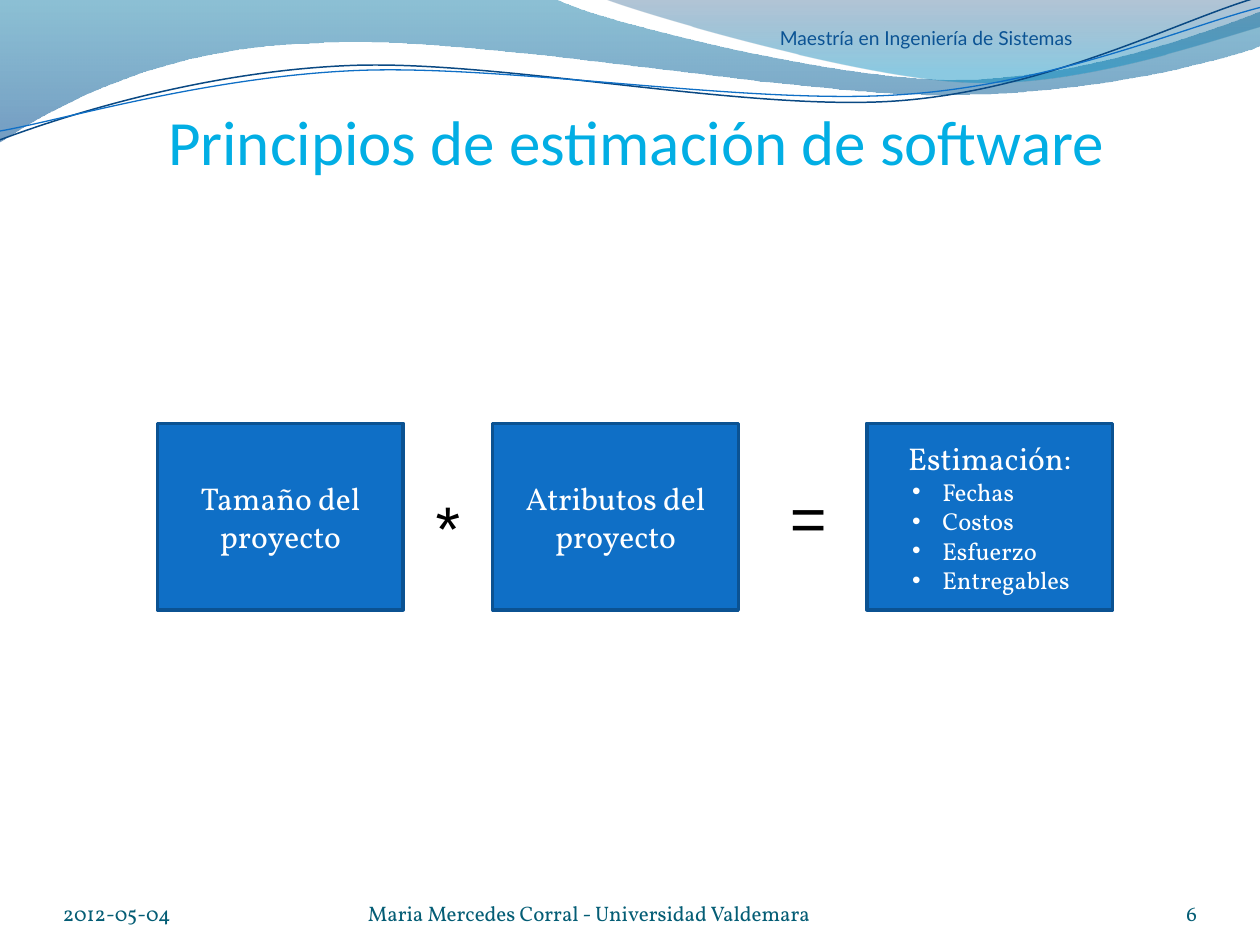
import math
import pptx
import pptx.util
import pptx.dml.color
import pptx.enum.shapes
import pptx.enum.text
import pptx.oxml.ns
from lxml import etree

Inches, Pt = pptx.util.Inches, pptx.util.Pt
Align, Anchor = pptx.enum.text.PP_ALIGN, pptx.enum.text.MSO_ANCHOR
qn = pptx.oxml.ns.qn

COLORS = {"title": "02AEE4", "footer": "045D75", "header": "0B5394", "fill": "0F6FC6",
          "edge": "0B5292", "dark": "0A4983", "white": "FFFFFF", "black": "000000",
          "teal": "0074A1", "navy": "004C90", "indigo": "003E76", "aqua": "008BBF"}

# Content: each wave is a start point, then lines (2 numbers) or curves (6 numbers)
TILT = -2.7
WAVES = [
    {"start": (0, 0), "steps": [
        (4.4, -0.01), (4.76, 0.17, 6.64, 0.63, 7.58, 0.63), (8.53, 0.63, 9.58, 0.26, 10, 0.09),
        (10.01, 0.36), (9.83, 0.44, 8.7, 0.76, 7.46, 0.75), (6.22, 0.75, 3.82, 0.28, 2.57, 0.34),
        (1.29, 0.36, 0.46, 0.83, -0.01, 1.13), (0, 0)],
     "stops": [("teal", 0, 45), ("navy", 1, 55)]},
    {"start": (4.79, -0.01), "steps": [
        (5.09, 0.11, 6.82, 0.62, 7.69, 0.65), (8.56, 0.69, 9.61, 0.32, 10, 0.21), (10, 0),
        (4.79, -0.01)],
     "stops": [("indigo", 0, 30), ("aqua", 0.8, 45)]},
    {"start": (0, 1.11), "steps": [
        (0.48, 0.93, 1.58, 0.57, 2.77, 0.52), (3.95, 0.47, 5.93, 0.89, 7.13, 0.8),
        (8.33, 0.71, 9.38, 0.15, 9.98, -0.02)],
     "line": ("dark", 0.85), "pivot": (4.99, 0.57)},
    {"start": (0, 1.04), "steps": [
        (0.47, 0.96, 1.64, 0.61, 2.83, 0.56), (4.03, 0.51, 5.97, 0.84, 7.17, 0.75),
        (8.36, 0.67, 9.41, 0.21, 10, 0.06)],
     "line": ("fill", 0.75), "pivot": (5, 0.59)},
]
NO_INSET = {"margin_left": 0, "margin_right": 0, "margin_top": 0, "margin_bottom": 0}
TITLE_FRAME = {**NO_INSET, "margin_top": Inches(0.05), "vertical_anchor": Anchor.BOTTOM}
FOOTER_FRAME = {**NO_INSET, "vertical_anchor": Anchor.BOTTOM}
LABELS = [  # text, place, (font, size, colour), alignment, frame format
    ("Principios de estimación de software", (0.55, 0.16, 9, 1.25),
     ("Calibri", 36, "title"), Align.CENTER, TITLE_FRAME),
    ("2012-05-04", (0.5, 6.95, 2.33, 0.4), ("Vollkorn", 12, "footer"), Align.LEFT, FOOTER_FRAME),
    ("Maria Mercedes Corral - Universidad Valdemara", (2.92, 6.95, 3.67, 0.4),
     ("Vollkorn", 12, "footer"), Align.LEFT, FOOTER_FRAME),
    ("6", (8.67, 6.95, 0.83, 0.4), ("Vollkorn", 12, "footer"), Align.RIGHT, FOOTER_FRAME),
    ("Maestría en Ingeniería de Sistemas", (6.09, 0.16, 2.81, 0.29),
     ("Lato", 11, "header"), Align.LEFT, {}),
]
OPERATORS = [
    (text, place, ("Arial", 36, "black"), Align.LEFT, {"word_wrap": False})
    for text, place in [("*", (3.36, 3.83, 0.4, 0.71)), ("=", (6.17, 3.75, 0.5, 0.71))]
]
BOX_TOP, BOX_WIDTH, BOX_HEIGHT = 3.36, 1.95, 1.48
BOXES = [  # left, heading, bullets
    (1.25, "Tamaño del proyecto", []),
    (3.91, "Atributos del proyecto", []),
    (6.88, "Estimación:", ["Fechas", "Costos", "Esfuerzo", "Entregables"]),
]


def rgb(name):
    return pptx.dml.color.RGBColor.from_string(COLORS[name])


def set_all(target, values):
    for name, value in values.items():
        setattr(target, name, value)


def write(para, text, font, size, color, align):
    para.alignment = align
    span = para.add_run()
    span.text = text
    set_all(span.font, {"name": font, "size": Pt(size)})
    span.font.color.rgb = rgb(color)


def turn(point, pivot, degrees):
    angle = math.radians(degrees)
    x, y = point[0] - pivot[0], point[1] - pivot[1]
    return (pivot[0] + x * math.cos(angle) - y * math.sin(angle),
            pivot[1] + x * math.sin(angle) + y * math.cos(angle))


def add_outline(page, wave):
    """Lay out all the points, then join each three of a curve into one segment."""
    points = [wave["start"]]
    for step in wave["steps"]:
        points += zip(step[::2], step[1::2])
    if "pivot" in wave:
        points = [turn(point, wave["pivot"], -TILT) for point in points]
    points = [(Inches(x), Inches(y)) for x, y in points]
    builder = page.shapes.build_freeform(*points[0])
    builder.add_line_segments(points[1:], close="stops" in wave)
    shape = builder.convert_to_shape()
    segments = iter(list(shape._element.iter(qn("a:lnTo"))))
    for step in wave["steps"]:
        first = next(segments)
        if len(step) == 6:
            first.tag = qn("a:cubicBezTo")
            for other in (next(segments), next(segments)):
                first.append(other[0])
                other.getparent().remove(other)
    if "pivot" in wave:
        shape.rotation = TILT
    return shape


def add_wave(page, wave):
    shape = add_outline(page, wave)
    shape.shadow.inherit = False
    if "line" in wave:
        color, width = wave["line"]
        shape.fill.background()
        shape.line.color.rgb = rgb(color)
        shape.line.width = Pt(width)
        return
    shape.line.fill.background()
    shape.fill.gradient()
    shape.fill.gradient_angle = 270
    for stop, (color, position, _) in zip(shape.fill.gradient_stops, wave["stops"]):
        stop.color.rgb = rgb(color)
        stop.position = position
    tints = list(shape._element.spPr.iter(qn("a:srgbClr")))
    for tint, (_, _, opacity) in zip(tints, wave["stops"]):
        etree.SubElement(tint, qn("a:alpha"), val=str(opacity * 1000))


def add_bullet(para):
    props = para._p.get_or_add_pPr()
    props.set("marL", str(Inches(0.5)))
    props.set("indent", str(Inches(-0.24)))
    etree.SubElement(props, qn("a:buFont"), typeface="Arial")
    etree.SubElement(props, qn("a:buChar"), char="•")


def add_label(page, text, place, style, align, frame_format):
    frame = page.shapes.add_textbox(*map(Inches, place)).text_frame
    set_all(frame, {"word_wrap": True, **frame_format})
    write(frame.paragraphs[0], text, *style, align)


def add_box(page, left, heading, bullets):
    box = page.shapes.add_shape(pptx.enum.shapes.MSO_SHAPE.RECTANGLE,
                                *map(Inches, (left, BOX_TOP, BOX_WIDTH, BOX_HEIGHT)))
    box.shadow.inherit = False
    box.fill.solid()
    box.fill.fore_color.rgb = rgb("fill")
    box.line.color.rgb = rgb("edge")
    box.line.width = Pt(2)
    frame = box.text_frame
    set_all(frame, {"word_wrap": True, "vertical_anchor": Anchor.MIDDLE})
    write(frame.paragraphs[0], heading, "Vollkorn", 18, "white", Align.CENTER)
    for bullet in bullets:
        para = frame.add_paragraph()
        write(para, bullet, "Vollkorn", 14, "white", Align.LEFT)
        add_bullet(para)


deck = pptx.Presentation()
set_all(deck, {"slide_width": Inches(10), "slide_height": Inches(7.5)})
page = deck.slides.add_slide(deck.slide_layouts[6])

# Waves along the top
for wave in WAVES:
    add_wave(page, wave)

# Title, footer and header
for label in LABELS:
    add_label(page, *label)

# Formula: boxes, then the signs between them
for box in BOXES:
    add_box(page, *box)
for operator in OPERATORS:
    add_label(page, *operator)

deck.save("out.pptx")
